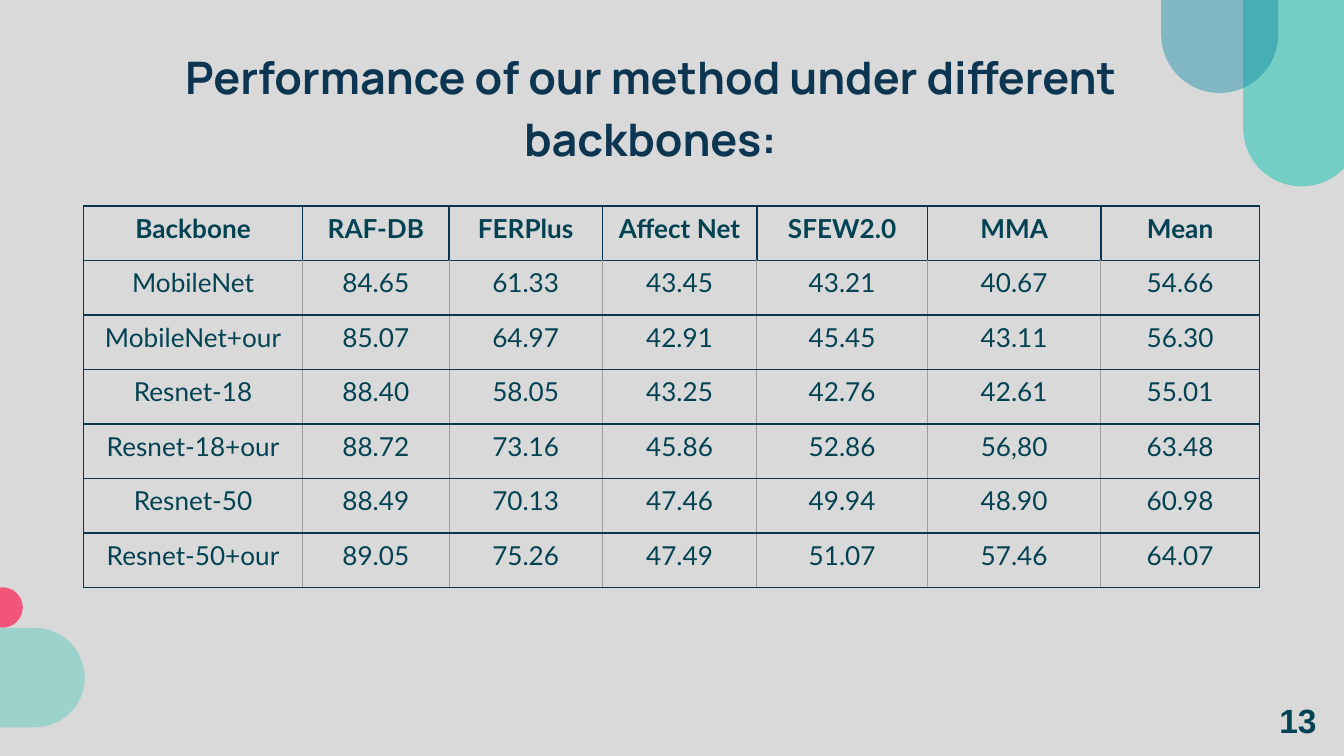
from lxml import etree
from pptx import Presentation
from pptx.dml.color import RGBColor
from pptx.enum import shapes, text
from pptx.oxml import ns
from pptx.util import Inches, Pt

WIDTH = 10
HEIGHT = WIDTH * 9 / 16
COLORS = {
    "background": "D9D9D9",
    "navy": "0B3550",
    "ink": "034252",
    "grey": "9E9E9E",
    "teal": "74CEC4",
    "blue": "0584A4",
    "pink": "F2557A",
}
COLUMN_SHARES = [16.3, 10.9, 11.4, 11.5, 12.7, 12.9, 11.8]
RESULTS = [
    ["Backbone", "RAF-DB", "FERPlus", "Affect Net", "SFEW2.0", "MMA", "Mean"],
    ["MobileNet", "84.65", "61.33", "43.45", "43.21", "40.67", "54.66"],
    ["MobileNet+our", "85.07", "64.97", "42.91", "45.45", "43.11", "56.30"],
    ["Resnet-18", "88.40", "58.05", "43.25", "42.76", "42.61", "55.01"],
    ["Resnet-18+our", "88.72", "73.16", "45.86", "52.86", "56,80", "63.48"],
    ["Resnet-50", "88.49", "70.13", "47.46", "49.94", "48.90", "60.98"],
    ["Resnet-50+our", "89.05", "75.26", "47.49", "51.07", "57.46", "64.07"],
]


def rgb(name):
    return RGBColor.from_string(COLORS[name])


def across(share):
    """Length for a percentage of the slide's width."""
    return Inches(WIDTH * share / 100)


def down(share):
    """Length for a percentage of the slide's height."""
    return Inches(HEIGHT * share / 100)


def box(x, y, w, h):
    return across(x), down(y), across(w), down(h)


def write(tf, words, size, font, color="ink", bold=False, align=None, spacing=None):
    p = tf.paragraphs[0]
    p.alignment = align
    p.line_spacing = spacing
    r = p.add_run()
    r.text = words
    r.font.size = Pt(size)
    r.font.name = font
    r.font.bold = bold
    r.font.color.rgb = rgb(color)


def add_blob(slide, kind, place, color, opacity=100):
    sp = slide.shapes.add_shape(kind, *box(*place))
    sp.shadow.inherit = False
    sp.line.fill.background()
    sp.fill.solid()
    sp.fill.fore_color.rgb = rgb(color)
    if kind == shapes.MSO_SHAPE.ROUNDED_RECTANGLE:
        sp.adjustments[0] = 0.5
    if opacity < 100:
        clr = sp._element.spPr.find(".//" + ns.qn("a:srgbClr"))
        etree.SubElement(clr, ns.qn("a:alpha"), val=str(opacity * 1000))


def add_title(slide, words):
    sp = slide.shapes.title
    sp.left, sp.top, sp.width, sp.height = box(5.6, 3.7, 85.6, 18.5)
    tf = sp.text_frame
    tf.word_wrap = True
    tf.auto_size = text.MSO_AUTO_SIZE.NONE
    tf.vertical_anchor = text.MSO_ANCHOR.TOP
    tf.margin_left = tf.margin_right = tf.margin_top = tf.margin_bottom = Inches(0.1)
    write(tf, words, 24, "Manrope", color="navy", bold=True,
          align=text.PP_ALIGN.CENTER, spacing=1.15)


def add_page_number(slide, number):
    tf = slide.shapes.add_textbox(*box(94.2, 91.7, 5.2, 7.1)).text_frame
    tf.word_wrap = True
    tf.auto_size = text.MSO_AUTO_SIZE.SHAPE_TO_FIT_TEXT
    write(tf, number, 18, "Arial", bold=True)


def set_borders(cell, **edges):
    """Draw the named edges; dark ones are slightly thicker."""
    tc_pr = cell._tc.get_or_add_tcPr()
    for i, (edge, color) in enumerate(edges.items()):
        width = Pt(1 if color == "navy" else 0.75)
        ln = etree.Element(ns.qn(f"a:{edge}"), w=str(width))
        fill = etree.SubElement(ln, ns.qn("a:solidFill"))
        etree.SubElement(fill, ns.qn("a:srgbClr"), val=COLORS[color])
        tc_pr.insert(i, ln)


def add_results_table(slide, rows):
    last = len(rows[0]) - 1
    frame = slide.shapes.add_table(len(rows), last + 1, *box(6.22, 27.25, 87.6, 50.5))
    table = frame.table
    table.first_row = table.horz_banding = False
    for column, share in zip(table.columns, COLUMN_SHARES):
        column.width = across(share)

    for i, row in enumerate(rows):
        header = i == 0
        for j, words in enumerate(row):
            cell = table.cell(i, j)
            cell.fill.background()
            write(cell.text_frame, words, 14, "Lato", bold=header,
                  align=text.PP_ALIGN.CENTER)
            # Only the inner upright rules below the header are grey
            set_borders(cell,
                        lnL="navy" if header or j == 0 else "grey",
                        lnR="navy" if header or j == last else "grey",
                        lnT="navy", lnB="navy")


def main():
    prs = Presentation()
    prs.slide_width, prs.slide_height = Inches(WIDTH), Inches(HEIGHT)
    slide = prs.slides.add_slide(prs.slide_layouts[5])
    slide.background.fill.solid()
    slide.background.fill.fore_color.rgb = rgb("background")

    # Corner decorations
    pill, dot = shapes.MSO_SHAPE.ROUNDED_RECTANGLE, shapes.MSO_SHAPE.OVAL
    add_blob(slide, pill, (92.5, -55.7, 8.7, 80.35), "teal")
    add_blob(slide, pill, (86.4, -43.4, 8.7, 55.7), "blue", opacity=41)
    add_blob(slide, dot, (-1.3, 77.7, 3, 5.33), "pink")
    add_blob(slide, pill, (-13.7, 83.05, 20, 13.15), "teal", opacity=61)

    # Content
    add_title(slide, "Performance of our method under different backbones:")
    add_page_number(slide, "13")
    add_results_table(slide, RESULTS)

    prs.save("out.pptx")


if __name__ == "__main__":
    main()
